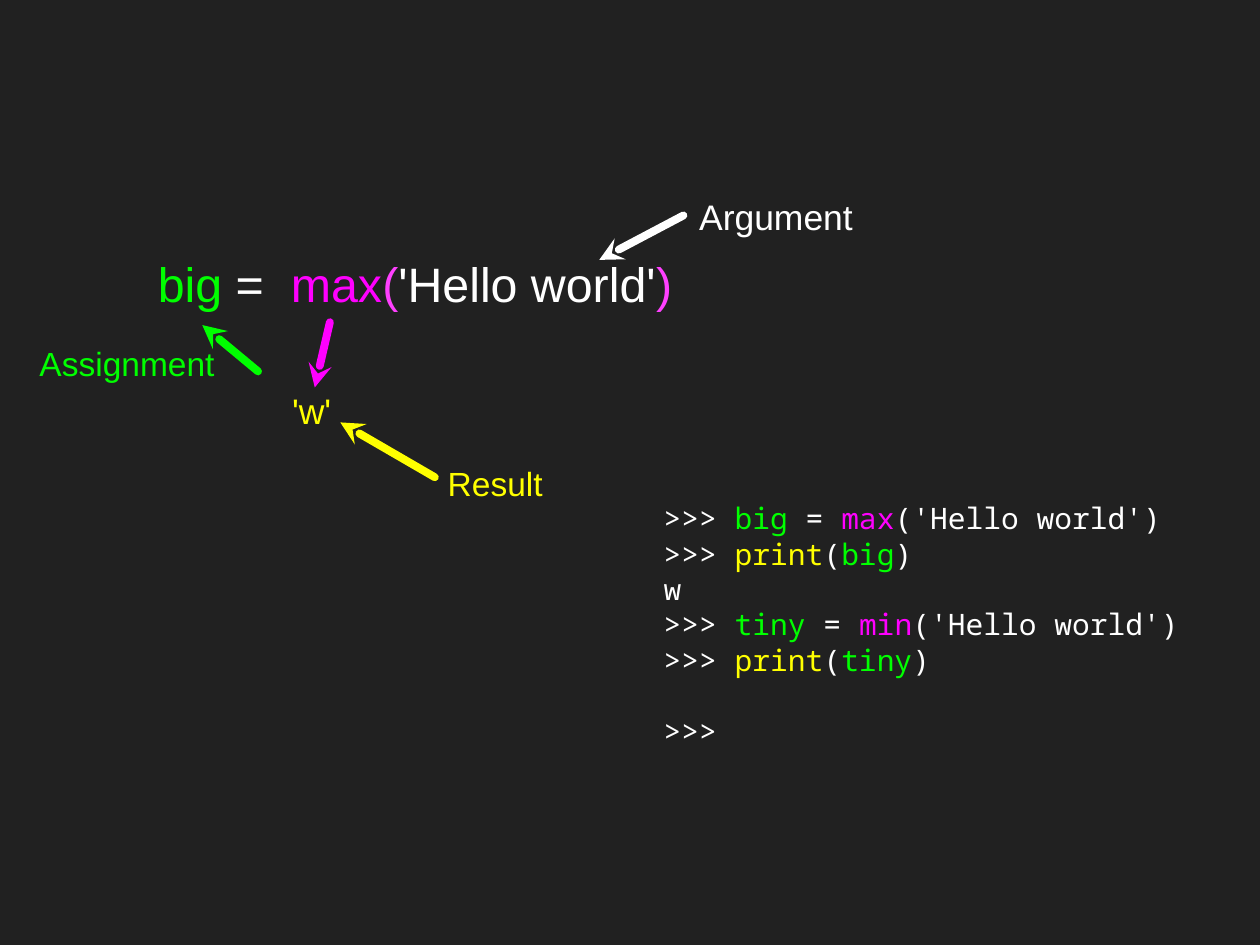
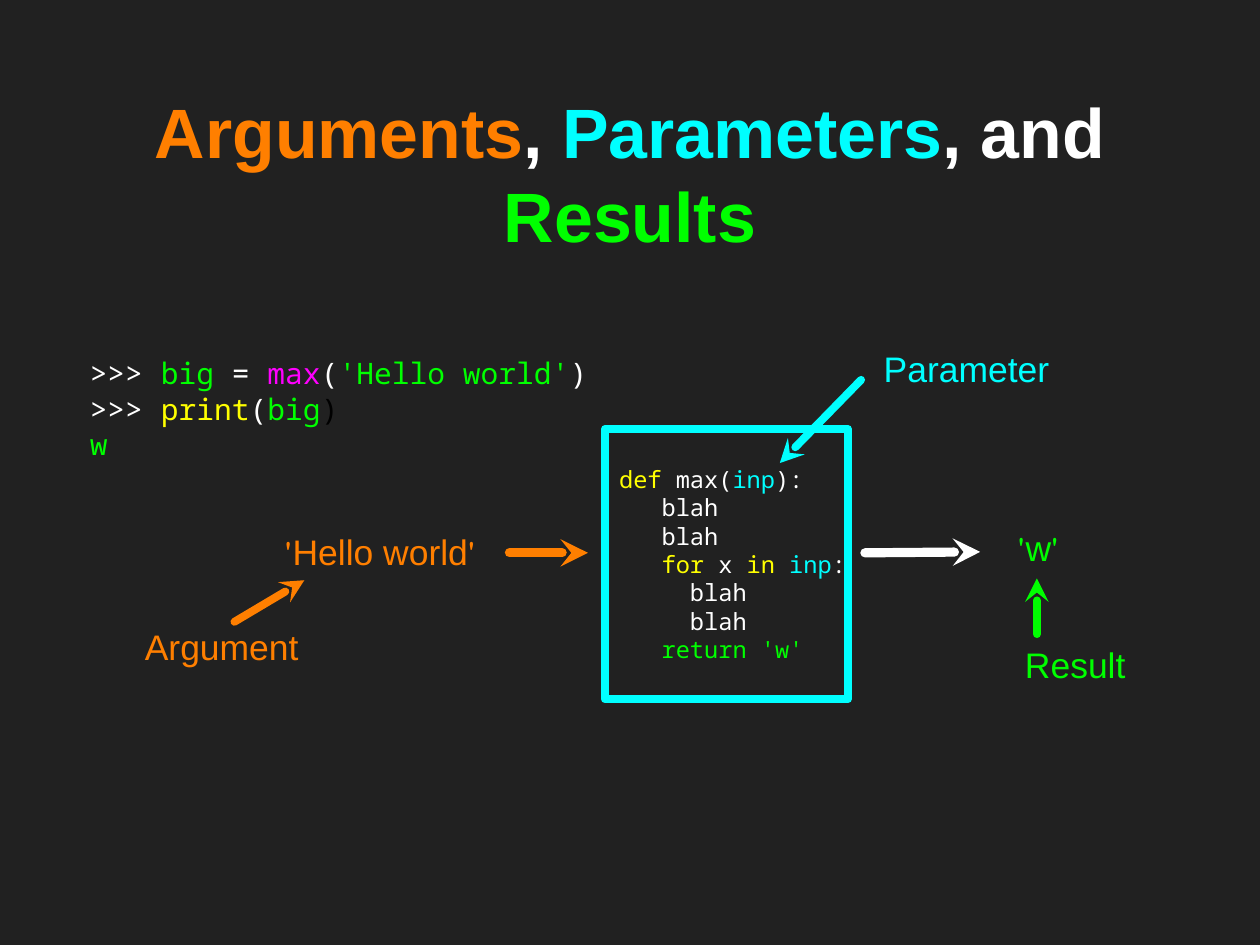
from dataclasses import dataclass
from typing import NamedTuple

import lxml.etree
import pptx
import pptx.dml.color
import pptx.enum.shapes
import pptx.enum.text
import pptx.oxml
import pptx.oxml.ns
import pptx.util

Inches = pptx.util.Inches
Pt = pptx.util.Pt
RGBColor = pptx.dml.color.RGBColor
Align = pptx.enum.text.PP_ALIGN

# Shared look
BACKGROUND = RGBColor(0x21, 0x21, 0x21)
WHITE = RGBColor(0xFF, 0xFF, 0xFF)
BLACK = RGBColor(0x00, 0x00, 0x00)
GREEN = RGBColor(0x00, 0xFF, 0x00)
MAGENTA = RGBColor(0xFF, 0x00, 0xFF)
PINK = RGBColor(0xFF, 0x40, 0xFF)
YELLOW = RGBColor(0xFF, 0xFF, 0x00)
ORANGE = RGBColor(0xFF, 0x7F, 0x00)
CYAN = RGBColor(0x00, 0xFF, 0xFF)

SANS = "Arial"
QUOTE = "League Spartan"
MONO = "Noto Sans Mono"
LINE_RATIO = 1.2
MONO_WIDTH = 0.6  # width of one character, as a share of the font size
CONSOLE_SIZE = 22.5
LABEL_SIZE = 27

TEXT_SHADOW = (
    '<a:effectLst xmlns:a="http://schemas.openxmlformats.org/drawingml/2006/main">'
    '<a:outerShdw blurRad="38100" dist="38100" dir="2700000">'
    '<a:srgbClr val="000000"><a:alpha val="60000"/></a:srgbClr>'
    "</a:outerShdw></a:effectLst>"
)


class Span(NamedTuple):
    text: str
    color: RGBColor = WHITE
    font: str = ""


class Box(NamedTuple):
    left: float
    top: float
    width: float
    height: float


@dataclass
class Line:
    spans: list[Span]
    indent: int = 0  # columns of code
    gap: float = 0  # points above the line


@dataclass
class Label:
    box: Box
    spans: list[Span]
    size: float = LABEL_SIZE
    align: Align = Align.CENTER


@dataclass
class Arrow:
    tip: tuple[float, float]
    tail: tuple[float, float]
    color: RGBColor
    width: float = 6


def write_lines(frame, lines: list[Line], size: float, font: str,
                align=Align.LEFT, margin: float = 0, bold: bool = False) -> None:
    frame.word_wrap = True
    frame.vertical_anchor = pptx.enum.text.MSO_ANCHOR.MIDDLE
    frame.margin_left = frame.margin_right = Inches(margin)
    frame.margin_top = frame.margin_bottom = Inches(margin)
    for index, line in enumerate(lines):
        paragraph = frame.paragraphs[0] if index == 0 else frame.add_paragraph()
        paragraph.alignment = align
        paragraph.space_before = Pt(line.gap)
        if font == MONO:
            paragraph.line_spacing = Pt(size * LINE_RATIO)
        if line.indent:
            left = Pt(line.indent * size * MONO_WIDTH)
            properties = paragraph._p.get_or_add_pPr()
            properties.set("marL", str(int(left)))
            properties.set("indent", "0")
        for span in line.spans:
            run = paragraph.add_run()
            run.text = span.text
            run.font.name = span.font or font
            run.font.size = Pt(size)
            run.font.bold = bold
            run.font.color.rgb = span.color


def add_text(slide, box: Box, lines: list[Line], size: float, font: str,
             align=Align.LEFT) -> None:
    frame = slide.shapes.add_textbox(*map(Inches, box)).text_frame
    write_lines(frame, lines, size, font, align)


def add_label(slide, label: Label) -> None:
    add_text(slide, label.box, [Line(label.spans)], label.size, SANS, label.align)


def add_arrow(slide, arrow: Arrow) -> None:
    connector = slide.shapes.add_connector(
        pptx.enum.shapes.MSO_CONNECTOR.STRAIGHT,
        *map(Inches, arrow.tip + arrow.tail))
    connector.line.color.rgb = arrow.color
    connector.line.width = Pt(arrow.width)
    outline = connector.line._get_or_add_ln()
    outline.set("cap", "rnd")
    lxml.etree.SubElement(outline, pptx.oxml.ns.qn("a:round"))
    head = lxml.etree.SubElement(outline, pptx.oxml.ns.qn("a:headEnd"))
    head.set("type", "stealth")
    lxml.etree.SubElement(connector._element.spPr, pptx.oxml.ns.qn("a:effectLst"))


def add_title(slide, box: Box, spans: list[Span], size: float) -> None:
    title = slide.shapes.title
    title.left, title.top, title.width, title.height = map(Inches, box)
    write_lines(title.text_frame, [Line(spans)], size, SANS, Align.CENTER, 0.03, True)
    paragraph = title.text_frame.paragraphs[0]
    paragraph.line_spacing = Pt(size * LINE_RATIO)
    for run in paragraph.runs:
        fill = run.font._element.find(pptx.oxml.ns.qn("a:solidFill"))
        fill.addnext(pptx.oxml.parse_xml(TEXT_SHADOW))


def assign(name: str, function: str, argument: list[Span]) -> Line:
    return Line([Span(">>> "), Span(name, GREEN), Span(" = "),
                 Span(function, MAGENTA), *argument])


def print_call(name: str, closing: RGBColor = WHITE) -> Line:
    return Line([Span(">>> "), Span("print", YELLOW), Span("("),
                 Span(name, GREEN), Span(")", closing)])


presentation = pptx.Presentation()
presentation.slide_width = Inches(13.33)
presentation.slide_height = Inches(10)
master_fill = presentation.slide_master.background.fill
master_fill.solid()
master_fill.fore_color.rgb = BACKGROUND
TITLE_ONLY, BLANK = presentation.slide_layouts[5], presentation.slide_layouts[6]

# Slide 1: the parts of a function call
call_slide = presentation.slides.add_slide(BLANK)
hello = [Span("('Hello world')")]
add_text(call_slide, Box(7.02, 5.25, 5.73, 2.71), [
    assign("big", "max", hello),
    print_call("big"),
    Line([Span("w")]),
    assign("tiny", "min", hello),
    print_call("tiny"),
    Line([Span(">>>")], gap=CONSOLE_SIZE * LINE_RATIO),
], CONSOLE_SIZE, MONO)

call_labels = [
    Label(Box(1.67, 2.66, 5.56, 0.67),
          [Span("big", GREEN), Span(" =  "), Span("max", MAGENTA), Span("(", PINK),
           Span("'Hello world'"), Span(")", PINK)], 36.8, Align.LEFT),
    Label(Box(7.23, 2.03, 1.96, 0.51), [Span("Argument")]),
    Label(Box(3.09, 4.09, 0.5, 0.51), [Span("'w'", YELLOW)], align=Align.LEFT),
    Label(Box(4.72, 4.86, 1.04, 0.51), [Span("Result", YELLOW)], 25.5),
    Label(Box(0.27, 3.59, 2.15, 0.51), [Span("Assignment", GREEN)], 25.5),
]
call_arrows = [
    Arrow((6.34, 2.75), (7.23, 2.28), WHITE),
    Arrow((3.6, 4.47), (4.6, 5.05), YELLOW),
    Arrow((2.14, 3.44), (2.73, 3.93), GREEN),
    Arrow((3.33, 4.1), (3.49, 3.41), MAGENTA),
]

# Slide 2: from argument through parameter to result
flow_slide = presentation.slides.add_slide(TITLE_ONLY)
add_title(flow_slide, Box(0.95, 0.88, 11.43, 1.9), [
    Span("Arguments", ORANGE), Span(", "), Span("Parameters", CYAN),
    Span(", and "), Span("Results", GREEN)], 53.2)
add_text(flow_slide, Box(0.95, 3.64, 6.2, 1.36), [
    assign("big", "max", [Span("("), Span("'Hello world'", GREEN), Span(")")]),
    print_call("big", BLACK),
    Line([Span("w", GREEN)]),
], CONSOLE_SIZE, MONO)

# Function body in its frame
function_box = flow_slide.shapes.add_shape(
    pptx.enum.shapes.MSO_SHAPE.RECTANGLE, *map(Inches, Box(6.4, 4.54, 2.57, 2.86)))
function_box.shadow.inherit = False
function_box.fill.background()
function_box.line.color.rgb = CYAN
function_box.line.width = Pt(6)
blah = [Span("blah")]
write_lines(function_box.text_frame, [
    Line([Span("def", YELLOW), Span(" max("), Span("inp", CYAN), Span("):")], indent=1),
    *[Line(blah, indent=4)] * 2,
    Line([Span("for", YELLOW), Span(" x "), Span("in ", YELLOW),
          Span("inp", CYAN), Span(":")], indent=4),
    *[Line(blah, indent=6)] * 2,
    Line([Span("return 'w'", GREEN)], indent=4),
], 18, MONO)

flow_labels = [
    Label(Box(2.9, 5.58, 2.34, 0.51),
          [Span("'", ORANGE, QUOTE), Span("Hello world", ORANGE),
           Span("' ", ORANGE, QUOTE)]),
    Label(Box(10.72, 5.54, 0.53, 0.51),
          [Span("'", GREEN, QUOTE), Span("w", GREEN), Span("'", GREEN, QUOTE)]),
    Label(Box(1.39, 6.58, 1.91, 0.51), [Span("Argument", ORANGE)]),
    Label(Box(9.21, 3.64, 2.03, 0.51), [Span("Parameter", CYAN)]),
    Label(Box(10.68, 6.78, 1.39, 0.51), [Span("Result", GREEN)]),
]
flow_arrows = [
    Arrow((6.22, 5.85), (5.39, 5.85), ORANGE, 7),
    Arrow((10.37, 5.84), (9.15, 5.85), WHITE, 7),
    Arrow((3.22, 6.14), (2.48, 6.58), ORANGE),
    Arrow((8.25, 4.9), (9.11, 4.02), CYAN),
    Arrow((10.97, 6.12), (10.97, 6.71), GREEN),
]

# Labels and arrows of both slides
for slide, labels, arrows in ((call_slide, call_labels, call_arrows),
                              (flow_slide, flow_labels, flow_arrows)):
    for label in labels:
        add_label(slide, label)
    for arrow in arrows:
        add_arrow(slide, arrow)

presentation.save("out.pptx")
